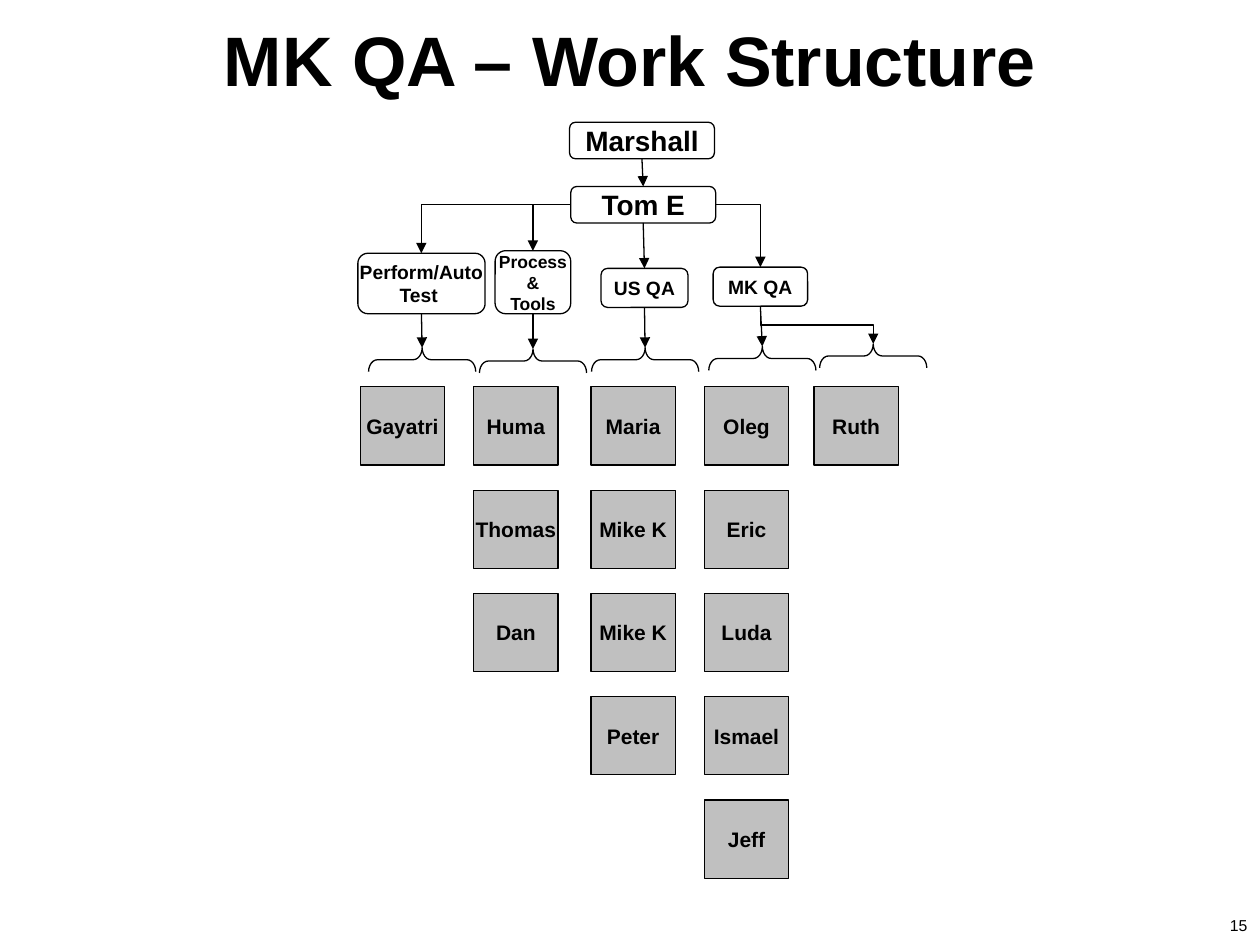
"""Build the MK QA work structure chart."""
from lxml import etree
from pptx import Presentation, util as u
from pptx.dml.color import RGBColor
from pptx.enum import shapes as kinds, text as styles
from pptx.oxml.ns import qn

BLACK = RGBColor(0, 0, 0)
WHITE = RGBColor(255, 255, 255)
GRAY = RGBColor(192, 192, 192)
FONT = "Arial"
LINE = 0.75

ROLES = {
    "Marshall": (4.52, 0.97, 1.15, 0.29, 16),
    "Tom E": (4.53, 1.48, 1.15, 0.29, 16),
    "Perform/Auto\nTest ": (2.84, 2.01, 1.01, 0.48, 11),
    "Process\n&\nTools": (3.93, 1.99, 0.6, 0.5, 10),
    "US QA": (4.77, 2.13, 0.69, 0.31, 11),
    "MK QA": (5.66, 2.12, 0.75, 0.31, 11),
}
TEAMS = [
    (2.86, (3.35, 2.76), ["Gayatri"]),
    (3.76, (4.23, 2.77), ["Huma", "Thomas", "Dan"]),
    (4.69, (5.12, 2.76), ["Maria", "Mike K", "Mike K", "Peter"]),
    (5.59, (6.05, 2.75), ["Oleg", "Eric", "Luda", "Ismael", "Jeff"]),
    (6.46, (6.93, 2.73), ["Ruth"]),
]
TEAM_TOP, ROW_PITCH, CARD_WIDTH, CARD_HEIGHT = 3.07, 0.82, 0.67, 0.62
BRACE_DEPTH, BRACE_SPAN, BRACE_CURVE = 0.19, 0.85, 0.37


def write(box, content, size, bold=True, wrap=False, shadow=False,
          anchor=styles.MSO_ANCHOR.MIDDLE):
    frame = box.text_frame
    frame.word_wrap = wrap
    frame.vertical_anchor = anchor
    for index, line in enumerate(content.split("\n")):
        para = frame.add_paragraph() if index else frame.paragraphs[0]
        para.alignment = styles.PP_ALIGN.CENTER
        span = para.add_run()
        span.text = line
        span.font.size, span.font.bold, span.font.name = u.Pt(size), bold, FONT
        span.font.color.rgb = BLACK
        if shadow:
            effects = etree.Element(qn("a:effectLst"))
            cast = etree.SubElement(effects, qn("a:outerShdw"), dist="38100", dir="2700000")
            etree.SubElement(cast, qn("a:srgbClr"), val="808080")
            span.font.fill._xPr.find(qn("a:solidFill")).addnext(effects)


def add_text(page, area, content, size, **style):
    write(page.shapes.add_textbox(*map(u.Inches, area)), content, size, **style)


def add_box(page, kind, area, fill, content, size):
    box = page.shapes.add_shape(kind, *map(u.Inches, area))
    box.shadow.inherit = False
    box.fill.solid()
    box.fill.fore_color.rgb = fill
    box.line.color.rgb, box.line.width = BLACK, u.Pt(LINE)
    write(box, content, size)


def add_brace(page, tip):
    middle = tip[1] + BRACE_DEPTH / 2
    area = (tip[0] - BRACE_DEPTH / 2, middle - BRACE_SPAN / 2, BRACE_DEPTH, BRACE_SPAN)
    brace = page.shapes.add_shape(kinds.MSO_SHAPE.LEFT_BRACE, *map(u.Inches, area))
    brace.rotation = 90
    brace.adjustments[0] = BRACE_CURVE
    brace.shadow.inherit = False
    brace.fill.background()
    brace.line.color.rgb, brace.line.width = BLACK, u.Pt(LINE)


def add_arrow(page, start, end, preset="line", turned=False):
    if turned:
        x, y = (start[0] + end[0]) / 2, (start[1] + end[1]) / 2
        across, down = (end[1] - start[1]) / 2, (end[0] - start[0]) / 2
        start, end = (x + across, y - down), (x - across, y + down)
    arrow = page.shapes.add_connector(kinds.MSO_CONNECTOR.STRAIGHT,
                                      *map(u.Inches, start + end))
    arrow.line.color.rgb, arrow.line.width = BLACK, u.Pt(LINE)
    properties = arrow._element.spPr
    properties.find(qn("a:prstGeom")).set("prst", preset)
    if turned:
        properties.find(qn("a:xfrm")).set("rot", "16200000")
    etree.SubElement(properties.find(qn("a:ln")), qn("a:tailEnd"), type="triangle")
    etree.SubElement(properties, qn("a:effectLst"))


def top(name):
    left, y, width, height, size = ROLES[name]
    return left + width / 2, y


def bottom(name):
    return top(name)[0], top(name)[1] + ROLES[name][3]


def main():
    deck = Presentation()
    deck.slide_width, deck.slide_height = u.Inches(10), u.Inches(7.5)
    page = deck.slides.add_slide(deck.slide_layouts[6])
    add_text(page, (0, 0.08, 10, 0.77), "MK QA – Work Structure", 40, wrap=True,
             shadow=True, anchor=styles.MSO_ANCHOR.TOP)
    add_text(page, (9.62, 6.99, 0.42, 0.48), "15", 9, bold=False, wrap=True,
             anchor=styles.MSO_ANCHOR.BOTTOM)

    for name, (*area, size) in ROLES.items():
        add_box(page, kinds.MSO_SHAPE.FLOWCHART_ALTERNATE_PROCESS, area, WHITE, name, size)
    for left, tip, members in TEAMS:
        add_brace(page, tip)
        for row, member in enumerate(members):
            area = (left, TEAM_TOP + row * ROW_PITCH, CARD_WIDTH, CARD_HEIGHT)
            add_box(page, kinds.MSO_SHAPE.RECTANGLE, area, GRAY, member, 12)

    boss, lead, perform, process, us_team, mk_team = ROLES
    add_arrow(page, bottom(boss), top(lead))
    add_arrow(page, bottom(lead), top(us_team))
    left, y, width, height, size = ROLES[lead]
    for name, edge in ((perform, left), (process, left), (mk_team, left + width)):
        add_arrow(page, (edge, y + height / 2), top(name), "bentConnector2")
    for name, (column, tip, members) in zip((perform, process, us_team, mk_team), TEAMS):
        add_arrow(page, bottom(name), tip)
    add_arrow(page, bottom(mk_team), TEAMS[-1][1], "bentConnector3", turned=True)
    deck.save("out.pptx")


if __name__ == "__main__":
    main()
